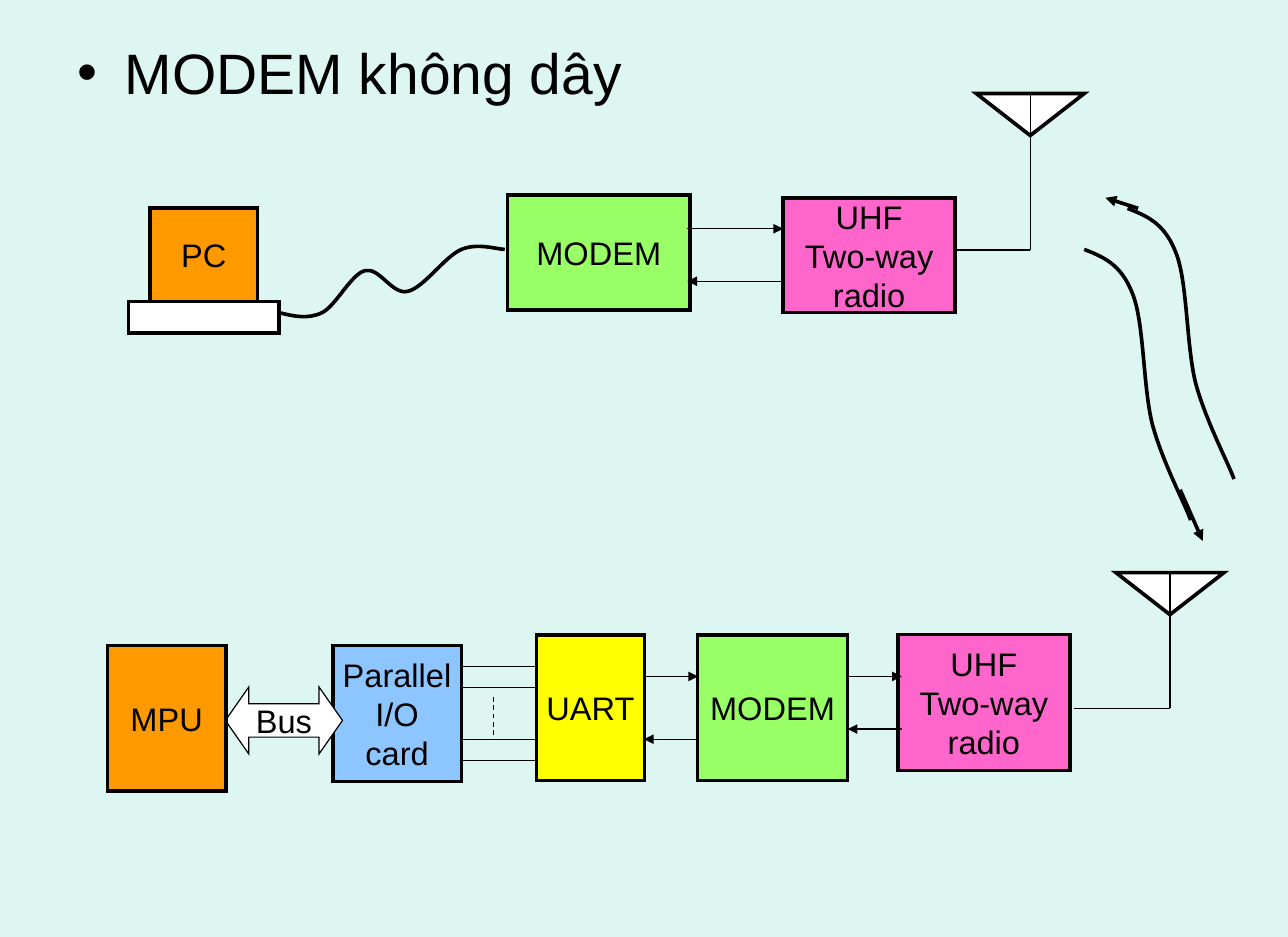
"""Build a slide showing how wireless modems link a PC to an MPU."""
from lxml import etree
from pptx import Presentation
from pptx.dml.color import RGBColor
from pptx.enum.dml import MSO_LINE
from pptx.enum.shapes import MSO_CONNECTOR, MSO_SHAPE
from pptx.enum.text import MSO_ANCHOR, MSO_AUTO_SIZE, PP_ALIGN
from pptx.oxml.ns import qn
from pptx.util import Cm, Pt

RECT = MSO_SHAPE.RECTANGLE
MERGE = MSO_SHAPE.FLOWCHART_MERGE
ARROW = MSO_SHAPE.LEFT_RIGHT_ARROW
STRAIGHT = MSO_CONNECTOR.STRAIGHT
DASH = MSO_LINE.DASH
MIDDLE = MSO_ANCHOR.MIDDLE
CENTER = PP_ALIGN.CENTER
NO_FIT = MSO_AUTO_SIZE.NONE

HUES = {"back": "DEF6F1", "ink": "000000", "white": "FFFFFF", "orange": "FF9900",
        "pink": "FF66CC", "green": "99FF66", "yellow": "FFFF00", "blue": "8DC6FF"}
INK = RGBColor.from_string(HUES["ink"])
THICK, THIN = 2.25, 0.75
INSETS = {"margin_left": Cm(0.28), "margin_right": Cm(0.28),
          "margin_top": Cm(0.13), "margin_bottom": Cm(0.13)}
FRAME = {**INSETS, "word_wrap": False, "vertical_anchor": MIDDLE}


def style(font, size):
    for key, value in {"name": "Arial", "size": Pt(size)}.items():
        setattr(font, key, value)
    font.color.rgb = INK


def stroke(line, width):
    line.color.rgb = INK
    line.width = Pt(width)


deck = Presentation()
deck.slide_width, deck.slide_height = Cm(27.94), Cm(20.32)
slide = deck.slides.add_slide(deck.slide_layouts[1])
slide.background.fill.solid()
slide.background.fill.fore_color.rgb = RGBColor.from_string(HUES["back"])
shapes = slide.shapes
title = shapes.title.element
title.getparent().remove(title)

body = slide.placeholders[1]
place = {"left": 1.4, "top": 0.69, "width": 25.86, "height": 18.52}
for key, value in place.items():
    setattr(body, key, Cm(value))
for key, value in {**INSETS, "auto_size": NO_FIT}.items():
    setattr(body.text_frame, key, value)
body.text_frame.text = "MODEM không dây"
item = body.text_frame.paragraphs[0]
props = item._p.get_or_add_pPr()
props.set("marL", str(Cm(1.03)))
props.set("indent", str(-Cm(1.03)))
etree.SubElement(props, qn("a:buChar")).set("char", "•")
style(item.runs[0].font, 35)

radio = "UHF\nTwo-way\nradio"
blocks = [
    (RECT, "PC", "orange", THICK, 3.25, 4.51, 2.34, 2.03),
    (RECT, "", "white", THICK, 2.79, 6.54, 3.26, 0.69),
    (RECT, radio, "pink", THICK, 16.99, 4.29, 3.73, 2.49),
    (RECT, "MODEM", "green", THICK, 11.01, 4.23, 3.96, 2.49),
    (RECT, "MODEM", "green", THICK, 15.13, 13.77, 3.26, 3.16),
    (MERGE, "", "white", THICK, 21.18, 2.03, 2.34, 0.91),
    (RECT, radio, "pink", THICK, 19.48, 13.76, 3.73, 2.95),
    (MERGE, "", "white", THICK, 24.21, 12.42, 2.34, 0.91),
    (RECT, "UART", "yellow", THICK, 11.64, 13.77, 2.34, 3.16),
    (RECT, "Parallel\nI/O\ncard", "blue", THICK, 7.22, 14, 2.79, 2.95),
    (ARROW, "Bus", "white", THIN, 4.89, 14.9, 2.54, 1.45),
    (RECT, "MPU", "orange", THICK, 2.33, 14, 2.57, 3.16),
]
for kind, text, hue, width, *box in blocks:
    block = shapes.add_shape(kind, *map(Cm, box))
    block.shadow.inherit = False
    block.fill.solid()
    block.fill.fore_color.rgb = RGBColor.from_string(HUES[hue])
    stroke(block.line, width)
    etree.SubElement(block.line._get_or_add_ln(), qn("a:miter")).set("lim", "800000")
    if kind == ARROW:
        block.adjustments[0], block.adjustments[1] = 0.5, 0.35
    if text:
        for key, value in FRAME.items():
            setattr(block.text_frame, key, value)
        block.text_frame.text = text
        for para in block.text_frame.paragraphs:
            para.alignment = CENTER
            style(para.runs[0].font, 20)

cable = [(6.05, 6.78), (6.38, 6.86), (6.68, 6.93), (6.99, 6.78), (7.29, 6.63), (7.62, 5.94),
         (7.92, 5.87), (8.23, 5.79), (8.51, 6.4), (8.84, 6.32), (9.19, 6.25), (9.65, 5.56),
         (10.01, 5.41), (10.36, 5.26), (10.8, 5.41), (10.95, 5.41)]
wave = [(0, 0), (0.38, 0.15), (0.79, 0.3), (1.04, 0.94), (1.3, 1.55),
        (1.27, 2.92), (1.47, 3.76), (1.68, 4.57), (2.18, 5.51), (2.31, 5.87)]
waves = [[(x + left, y + top) for x, y in wave] for left, top in [(24.46, 4.52), (23.52, 5.41)]]
for knots in [cable, *waves]:
    first, *rest = [(Cm(x), Cm(y)) for x, y in knots]
    pen = shapes.build_freeform(*first)
    pen.add_line_segments(rest, close=False)
    curve = pen.convert_to_shape()
    curve.shadow.inherit = False
    curve.fill.background()
    stroke(curve.line, THICK)
    legs = list(curve._element.iter(qn("a:lnTo")))
    for i in range(0, len(legs), 3):
        bend = etree.SubElement(legs[i].getparent(), qn("a:cubicBezTo"))
        for leg in legs[i:i + 3]:
            bend.append(leg[0])
            leg.getparent().remove(leg)

plain = [
    (20.73, 5.42, 22.35, 5.42), (22.35, 5.42, 22.35, 2.72), (22.35, 2.95, 22.35, 2.03),
    (25.38, 13.31, 25.38, 15.36), (25.38, 15.36, 23.29, 15.36), (25.38, 13.31, 25.38, 12.42),
    *[(10.01, y, 11.63, y) for y in (14.45, 14.91, 16.03, 16.49)],
]
arrows = [
    (14.91, 4.96, 16.99, 4.96), (16.99, 6.1, 14.91, 6.1),
    (18.39, 14.67, 19.56, 14.67), (19.56, 15.81, 18.39, 15.81),
    (13.97, 14.67, 15.14, 14.67), (15.14, 16.03, 13.97, 16.03),
]
tips = [(25.6, 10.62, 26.09, 11.73), (24.69, 4.52, 23.98, 4.29)]
dots = [(10.71, 15.11, 10.71, 16.03)]
groups = [(plain, THIN, False, None), (arrows, THIN, True, None),
          (tips, THICK, True, None), (dots, THIN, False, DASH)]
for wires, width, head, dash in groups:
    for ends in wires:
        wire = shapes.add_connector(STRAIGHT, *map(Cm, ends))
        stroke(wire.line, width)
        if dash:
            wire.line.dash_style = dash
        if head:
            etree.SubElement(wire.line._get_or_add_ln(), qn("a:tailEnd")).set("type", "triangle")
        etree.SubElement(wire._element.spPr, qn("a:effectLst"))

deck.save("out.pptx")
